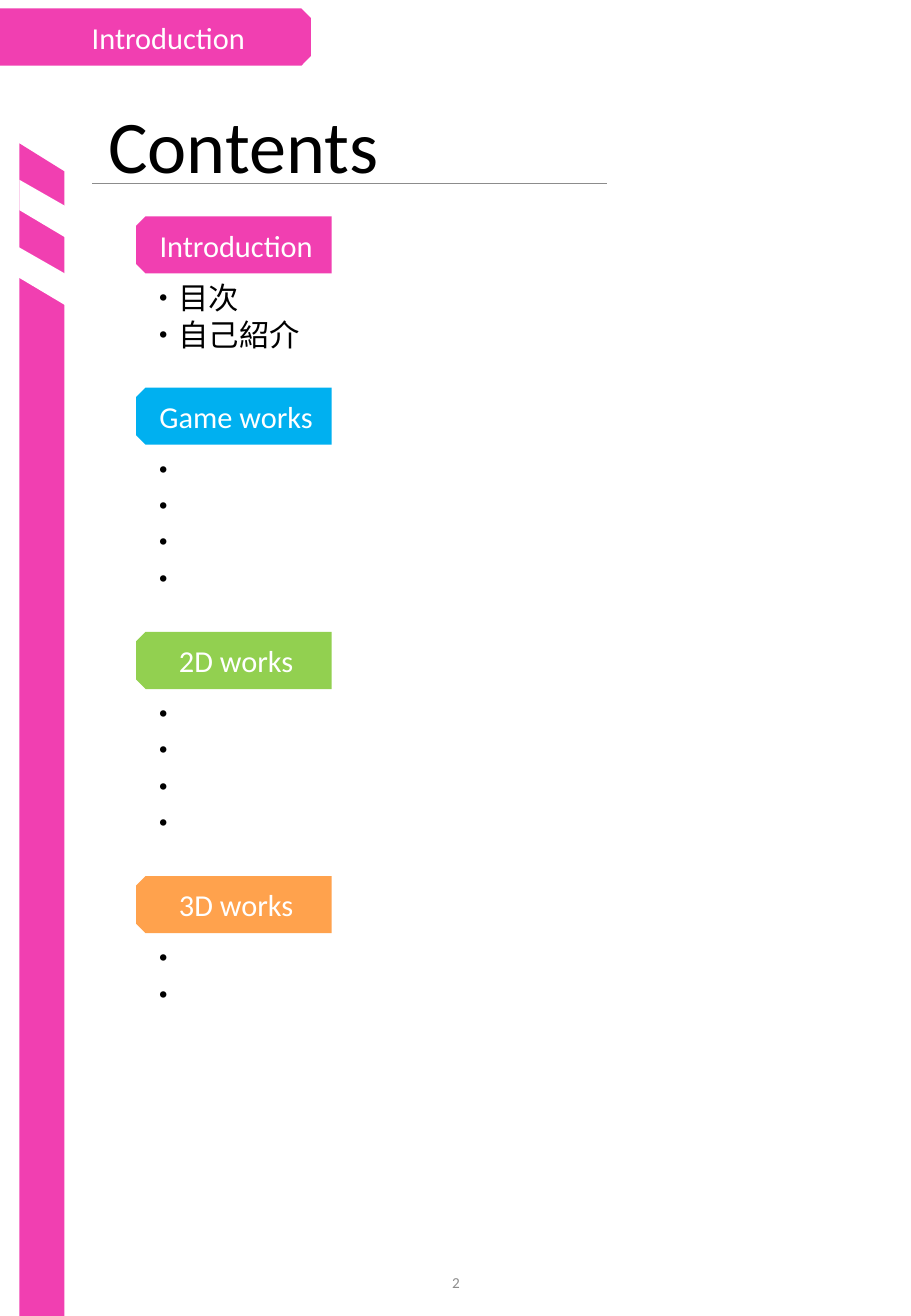
import pptx
import pptx.dml.color
import pptx.enum.shapes
import pptx.enum.text
import pptx.oxml.ns
import pptx.util
from lxml import etree

TITLE = "Contents"
HEADER = "\u3000Introduction"
PAGE_NUMBER = "2"
SECTIONS = [
    ("Introduction", "pink", ["・目次", "・自己紹介"]),
    ("Game works", "blue", ["・"] * 4),
    ("2D works", "green", ["・"] * 4),
    ("3D works", "orange", ["・"] * 2),
]
COLOURS = {
    "pink": "F13FB1", "blue": "00B0F0", "green": "92D050", "orange": "FFA24D",
    "white": "FFFFFF", "black": "000000", "grey": "8C8C8C",
}
FONT = "Calibri"
WIDTH, HEIGHT = 7.5, 10.83
TAB_WIDTH, TAB_HEIGHT = 1.61, 0.47
TAB_LEFT, FIRST_TAB_TOP = 1.12, 1.78
ITEM_HEIGHT, LIST_PADDING, SECTION_GAP = 0.3, 0.11, 0.23
BAR_LEFT, BAR_RIGHT, BAR_TOP = 0.16, 0.53, 1.18
STRIPES = [(0.16, 1.48), (0.13, 2.02)]
STRIPE_OUTLINE = [(0, 0), (0.49, 0.28), (0.42, 0.5), (0, 0.25)]

ALIGN = pptx.enum.text.PP_ALIGN
ANCHOR = pptx.enum.text.MSO_ANCHOR
inches = pptx.util.Inches


def rgb(name):
    """Return the named colour."""
    return pptx.dml.color.RGBColor.from_string(COLOURS[name])


def write(frame, lines, size=18, colour="black", align=ALIGN.LEFT,
          anchor=ANCHOR.TOP, spacing=None):
    """Fill a text frame with one paragraph per line."""
    frame.word_wrap = True
    frame.auto_size = pptx.enum.text.MSO_AUTO_SIZE.NONE
    frame.vertical_anchor = anchor
    for index, line in enumerate(lines):
        paragraph = frame.add_paragraph() if index else frame.paragraphs[0]
        paragraph.alignment = align
        paragraph.line_spacing = spacing
        run = paragraph.add_run()
        run.text = line
        run.font.name = FONT
        run.font.size = pptx.util.Pt(size)
        run.font.color.rgb = rgb(colour)


def paint(shape, colour):
    """Give a shape a plain fill without line or shadow."""
    shape.shadow.inherit = False
    shape.fill.solid()
    shape.fill.fore_color.rgb = rgb(colour)
    shape.line.fill.background()


def add_text(slide, box, lines, **style):
    """Add a text box."""
    textbox = slide.shapes.add_textbox(*map(inches, box))
    write(textbox.text_frame, lines, **style)


def add_tab(slide, left, top, width, label, colour, rotation, direction):
    """Add a tab turned on its side, with its label kept upright."""
    shift = (width - TAB_HEIGHT) / 2
    tab = slide.shapes.add_shape(
        pptx.enum.shapes.MSO_SHAPE.SNIP_2_SAME_RECTANGLE,
        inches(left + shift), inches(top - shift),
        inches(TAB_HEIGHT), inches(width))
    tab.rotation = rotation
    paint(tab, colour)
    write(tab.text_frame, [label], colour="white", align=ALIGN.CENTER,
          anchor=ANCHOR.MIDDLE)
    tab.text_frame._txBody.bodyPr.set("vert", direction)


def add_outline(slide, points, colour):
    """Add a closed polygon through points given in inches."""
    start, *others = [(inches(x), inches(y)) for x, y in points]
    builder = slide.shapes.build_freeform(*start)
    builder.add_line_segments(others, close=True)
    paint(builder.convert_to_shape(), colour)


def add_rule(slide, left, right, top):
    """Add the thin line under the title."""
    rule = slide.shapes.add_connector(
        pptx.enum.shapes.MSO_CONNECTOR.STRAIGHT,
        inches(left), inches(top), inches(right), inches(top))
    rule.line.color.rgb = rgb("grey")
    rule.line.width = pptx.util.Pt(0.5)
    etree.SubElement(rule._element.spPr, pptx.oxml.ns.qn("a:effectLst"))


def add_sidebar(slide):
    """Add the pink bar and the slanted stripes that cut it."""
    add_outline(slide, [(BAR_LEFT, BAR_TOP), (BAR_RIGHT, BAR_TOP + 0.23),
                        (BAR_RIGHT, HEIGHT), (BAR_LEFT, HEIGHT)], "pink")
    for left, top in STRIPES:
        add_outline(slide, [(left + x, top + y) for x, y in STRIPE_OUTLINE],
                    "white")


def add_sections(slide):
    """Stack the section tabs, each followed by its list."""
    top = FIRST_TAB_TOP
    for label, colour, items in SECTIONS:
        add_tab(slide, TAB_LEFT, top, TAB_WIDTH, label, colour, 270, "vert")
        list_top = top + TAB_HEIGHT
        list_height = len(items) * ITEM_HEIGHT + LIST_PADDING
        add_text(slide, (TAB_LEFT, list_top, 4.12, list_height), items)
        top = list_top + list_height + SECTION_GAP


deck = pptx.Presentation()
deck.slide_width, deck.slide_height = inches(WIDTH), inches(HEIGHT)
contents = deck.slides.add_slide(deck.slide_layouts.get_by_name("Title Only"))
title = contents.shapes.title
title.left, title.top, title.width, title.height = map(
    inches, (0.79, 0.8, 2.88, 0.86))
write(title.text_frame, [TITLE], size=44, anchor=ANCHOR.MIDDLE, spacing=0.9)
add_rule(contents, 0.76, 5, 1.51)
add_sidebar(contents)
add_sections(contents)
add_tab(contents, 0, 0.07, 2.56, HEADER, "pink", 90, "vert270")
add_text(contents, (2.91, 10.26, 1.69, 0.58), [PAGE_NUMBER], size=9,
         colour="grey", align=ALIGN.CENTER, anchor=ANCHOR.MIDDLE)
deck.save("out.pptx")
